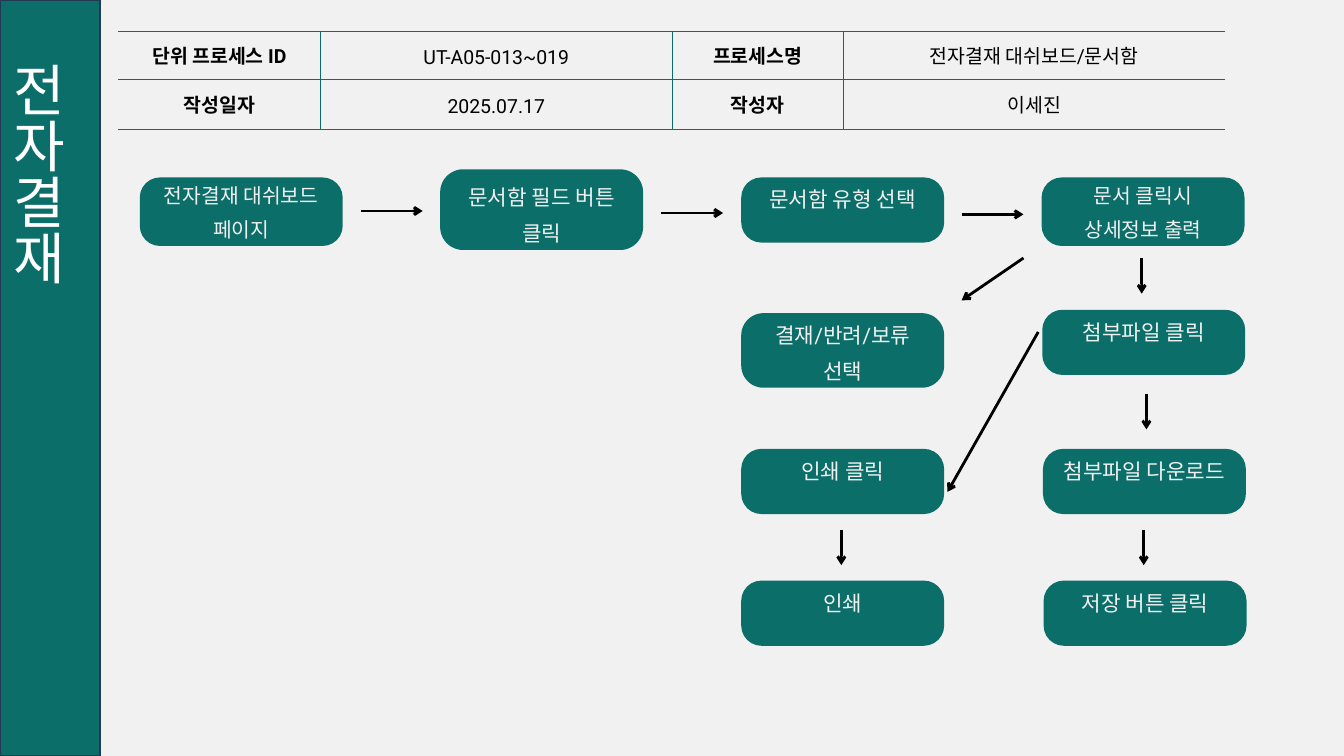
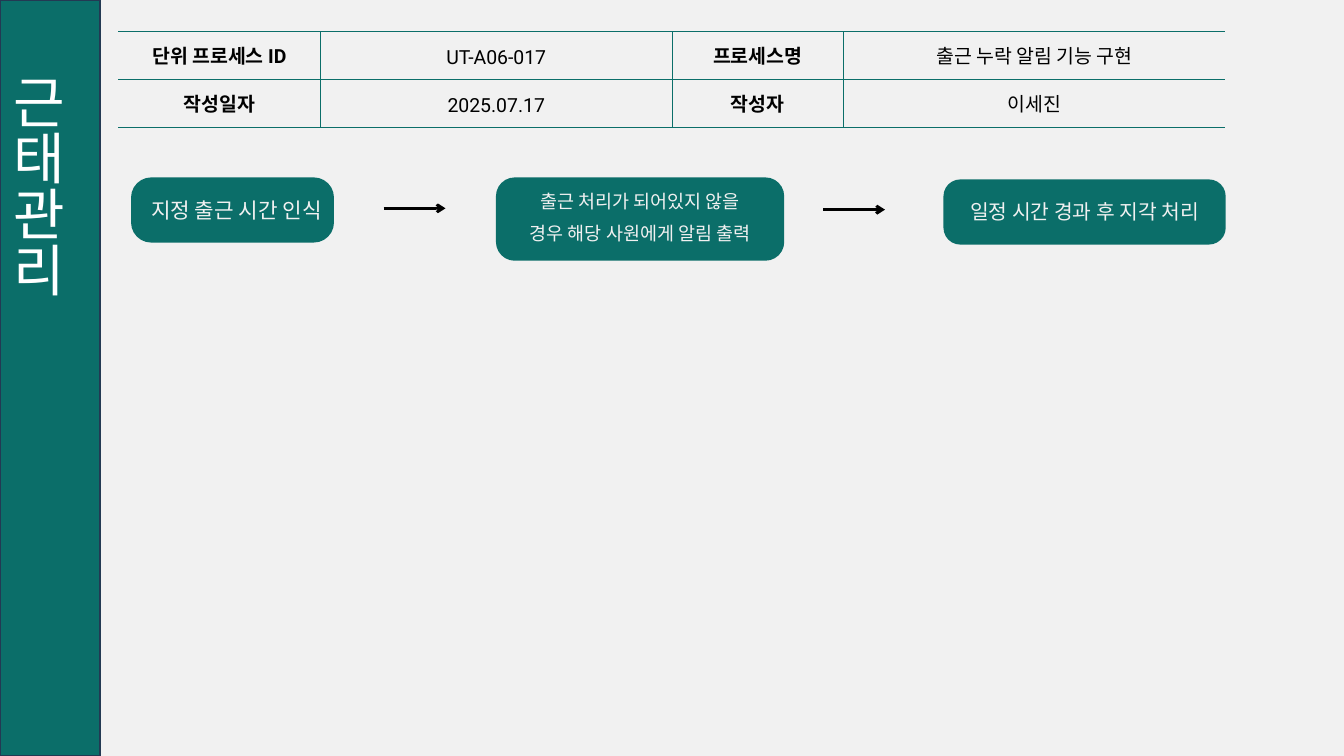
from dataclasses import dataclass
from typing import NamedTuple

from lxml.etree import SubElement
from pptx import Presentation
from pptx.dml.color import RGBColor
from pptx.enum.shapes import MSO_CONNECTOR, MSO_SHAPE
from pptx.enum.text import MSO_ANCHOR, PP_ALIGN
from pptx.oxml.ns import qn
from pptx.util import Pt

PIXEL = 9144  # 100 px to the inch


@dataclass(frozen=True)
class Theme:
    background: str = "F1F1F1"
    teal: str = "0B6E69"
    navy: str = "233953"
    white: str = "FFFFFF"
    black: str = "000000"
    body_font: str = "Roboto"
    title_font: str = "Calibri"
    title_size: float = 60
    table_size: float = 20.8
    table_leading: float = 29.2
    step_size: float = 22.8
    step_size_medium: float = 21.8
    step_size_small: float = 19.8
    step_leading: float = 1.693
    border_width: float = 0.75
    arrow_width: float = 3
    sidebar_line_width: float = 2


THEME = Theme()


class Box(NamedTuple):
    left: int
    top: int
    width: int
    height: int

    def inside(self, area):
        return Box(area.left + self.left, area.top + self.top, self.width, self.height)

    def emu(self):
        return [value * PIXEL for value in self]


@dataclass
class Step:
    lines: list
    box: Box
    size: float = THEME.step_size
    radius: int = 30
    rise: int = 47  # how far the label starts above the block
    nudge: tuple = (0, 0)
    anchor: MSO_ANCHOR = MSO_ANCHOR.MIDDLE


SLIDE = Box(0, 0, 2000, 1125)
SIDEBAR = Box(0, 0, 149, 1125)
HEADER = Box(176, 47, 1647, 142)
FLOW = Box(195, 250, 1660, 720)
HEADER_COLUMNS = [301, 523, 255, 568]
BLOCK_WIDTH, BLOCK_HEIGHT = 302, 97
BOTTOM = MSO_ANCHOR.BOTTOM


def block(left, top, height=BLOCK_HEIGHT, width=BLOCK_WIDTH):
    return Box(left, top, width, height)


PAGES = [
    {
        "title": "전자결재",
        "title_indent": 83,
        "row_heights": [71, 74],
        "header": [
            ["단위 프로세스 ID", "UT-A05-013~019", "프로세스명", "전자결재 대쉬보드/문서함"],
            ["작성일자", "2025.07.17", "작성자", "이세진"],
        ],
        "steps": [
            Step(["전자결재 대쉬보드", "페이지"], block(13, 14, 102),
                 size=THEME.step_size_medium, rise=44, anchor=BOTTOM),
            Step(["문서함 필드 버튼", "클릭"], block(460, 2, 120), radius=34, rise=59, anchor=BOTTOM),
            Step(["문서함 유형 선택"], block(908, 14)),
            Step(["문서 클릭시", "상세정보 출력"], block(1355, 14, 102),
                 size=THEME.step_size_medium, rise=44, anchor=BOTTOM),
            Step(["첨부파일 클릭"], block(1356, 211)),
            Step(["인쇄 클릭"], block(908, 418)),
            Step(["인쇄"], block(908, 614)),
            Step(["결재/반려/보류", "선택"], block(908, 216, 111), radius=33, rise=53, anchor=BOTTOM),
            Step(["첨부파일 다운로드"], block(1357, 418)),
            Step(["저장 버튼 클릭"], block(1358, 614)),
        ],
        "arrows": [
            (342, 64, 434, 64), (789, 67, 881, 67), (1236, 69, 1328, 69),
            (1504, 134, 1504, 187), (1507, 538, 1507, 591), (1511, 336, 1511, 389),
            (1328, 134, 1236, 197), (1350, 244, 1215, 482), (1057, 538, 1057, 591),
        ],
    },
    {
        "title": "근태관리",
        "title_indent": 100,
        "row_heights": [71, 71],
        "header": [
            ["단위 프로세스 ID", "UT-A06-017", "프로세스명", "출근 누락 알림 기능 구현"],
            ["작성일자", "2025.07.17", "작성자", "이세진"],
        ],
        "steps": [
            Step(["지정 출근 시간 인식"], block(0, 14), nudge=(6, 16)),
            Step(["출근 처리가 되어있지 않을", "경우 해당 사원에게 알림 출력"], block(543, 14, 124, 429),
                 size=THEME.step_size_small, radius=28, rise=55, nudge=(0, -19), anchor=BOTTOM),
            Step(["일정 시간 경과 후 지각 처리"], block(1209, 17, width=420),
                 size=THEME.step_size_medium, radius=25, rise=44, nudge=(0, -26), anchor=BOTTOM),
        ],
        "arrows": [(376, 60, 468, 60), (1030, 62, 1122, 62)],
    },
]


def apply_format(target, values):
    for name, value in values.items():
        setattr(target, name, value)


def rgb(color):
    return RGBColor.from_string(color)


def format_text(paragraph, text, size, color, font=THEME.body_font, bold=False,
                leading=None, alignment=PP_ALIGN.CENTER):
    apply_format(paragraph, {"alignment": alignment, "line_spacing": leading and Pt(leading)})
    run = paragraph.add_run()
    run.text = text
    apply_format(run.font, {"name": font, "size": Pt(size), "bold": bold})
    run.font.color.rgb = rgb(color)


def set_margins(target, margin):
    sides = ("margin_left", "margin_top", "margin_right", "margin_bottom")
    apply_format(target, dict.fromkeys(sides, margin * PIXEL))


def add_filled_shape(shapes, kind, box):
    shape = shapes.add_shape(kind, *box.emu())
    shape.shadow.inherit = False
    shape.fill.solid()
    shape.fill.fore_color.rgb = rgb(THEME.teal)
    shape.line.fill.background()
    return shape


def add_sidebar(slide, area, title, indent):
    shape = add_filled_shape(slide.shapes, MSO_SHAPE.RECTANGLE, area)
    shape.line.color.rgb = rgb(THEME.navy)
    shape.line.width = Pt(THEME.sidebar_line_width)
    frame = shape.text_frame
    apply_format(frame, {"vertical_anchor": BOTTOM, "word_wrap": True})
    shape.element.txBody.find(qn("a:bodyPr")).set("vert", "eaVert")
    paragraph = frame.paragraphs[0]
    properties = paragraph._p.get_or_add_pPr()
    properties.set("marL", str(indent * PIXEL))
    properties.set("indent", "0")
    format_text(paragraph, title, THEME.title_size, THEME.white, THEME.title_font,
                alignment=PP_ALIGN.JUSTIFY)


def add_cell_borders(cell, hidden_side):
    properties = cell._tc.get_or_add_tcPr()
    for side in ("lnL", "lnR", "lnT", "lnB"):
        line = SubElement(properties, qn(f"a:{side}"), w=str(Pt(THEME.border_width)))
        if side == hidden_side:
            SubElement(line, qn("a:noFill"))
        else:
            fill = SubElement(line, qn("a:solidFill"))
            SubElement(fill, qn("a:srgbClr"), val=THEME.teal)


def add_header_table(slide, area, rows, row_heights):
    frame = slide.shapes.add_table(len(rows), len(HEADER_COLUMNS), *area.emu())
    table = frame.table
    apply_format(table, {"first_row": False, "horz_banding": False})
    for column, width in zip(table.columns, HEADER_COLUMNS):
        column.width = width * PIXEL
    for row, height in zip(table.rows, row_heights):
        row.height = height * PIXEL

    hidden_sides = {0: "lnL", len(HEADER_COLUMNS) - 1: "lnR"}
    for row_index, texts in enumerate(rows):
        for column_index, text in enumerate(texts):
            cell = table.cell(row_index, column_index)
            add_cell_borders(cell, hidden_sides.get(column_index))
            cell.fill.background()
            cell.vertical_anchor = MSO_ANCHOR.MIDDLE
            set_margins(cell, 1)
            format_text(cell.text_frame.paragraphs[0], text, THEME.table_size, THEME.black,
                        bold=column_index % 2 == 0, leading=THEME.table_leading)


def add_step(slide, area, step):
    box = step.box.inside(area)
    group = slide.shapes.add_group_shape()
    shape = add_filled_shape(group.shapes, MSO_SHAPE.ROUNDED_RECTANGLE, box)
    shape.adjustments[0] = step.radius / box.height

    # Label laid over the block
    shift_x, shift_y = step.nudge
    label_box = Box(shift_x, shift_y - step.rise, box.width, box.height + step.rise).inside(box)
    frame = group.shapes.add_textbox(*label_box.emu()).text_frame
    apply_format(frame, {"word_wrap": True, "vertical_anchor": step.anchor})
    set_margins(frame, 6)
    for index, line in enumerate(step.lines):
        paragraph = frame.add_paragraph() if index else frame.paragraphs[0]
        format_text(paragraph, line, step.size, THEME.background,
                    leading=round(step.size * THEME.step_leading, 1))


def add_arrow(slide, area, start_x, start_y, end_x, end_y):
    start = Box(start_x, start_y, 0, 0).inside(area).emu()[:2]
    end = Box(end_x, end_y, 0, 0).inside(area).emu()[:2]
    connector = slide.shapes.add_connector(MSO_CONNECTOR.STRAIGHT, *start, *end)
    connector.line.color.rgb = rgb(THEME.black)
    connector.line.width = Pt(THEME.arrow_width)
    SubElement(connector.line._get_or_add_ln(), qn("a:tailEnd"), type="arrow")
    SubElement(connector.element.spPr, qn("a:effectLst"))


def add_flow(slide, area, steps, arrows):
    for step in steps:
        add_step(slide, area, step)
    for arrow in arrows:
        add_arrow(slide, area, *arrow)


def add_process_slide(presentation, page):
    slide = presentation.slides.add_slide(presentation.slide_layouts[6])
    slide.background.fill.solid()
    slide.background.fill.fore_color.rgb = rgb(THEME.background)
    add_header_table(slide, HEADER, page["header"], page["row_heights"])
    add_flow(slide, FLOW, page["steps"], page["arrows"])
    add_sidebar(slide, SIDEBAR, page["title"], page["title_indent"])


def main():
    presentation = Presentation()
    presentation.slide_width = SLIDE.width * PIXEL
    presentation.slide_height = SLIDE.height * PIXEL
    for page in PAGES:
        add_process_slide(presentation, page)
    presentation.save("out.pptx")


if __name__ == "__main__":
    main()
